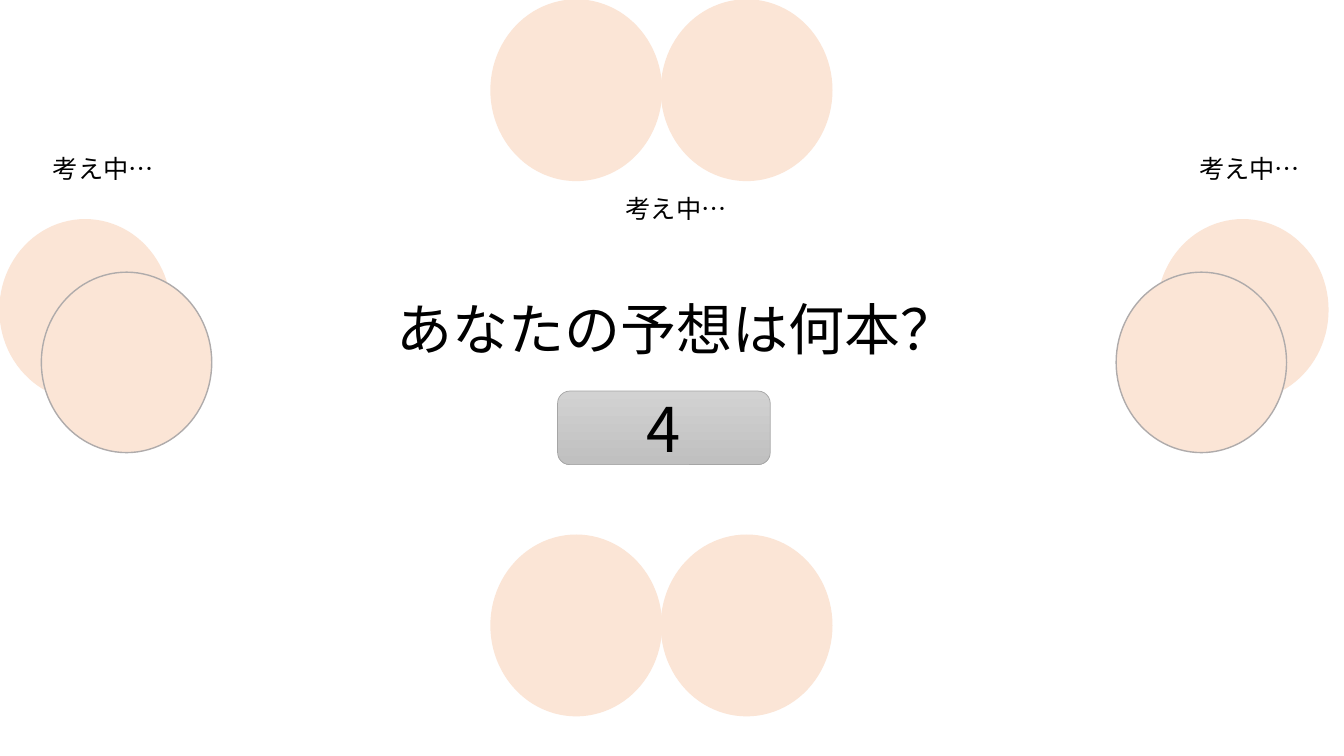
from lxml import etree
from pptx import Presentation
from pptx import util as u
from pptx.dml.color import RGBColor
from pptx.enum import shapes, text
from pptx.oxml.ns import qn

PEACH = RGBColor(0xFB, 0xE5, 0xD6)
OUTLINE = RGBColor(0xAF, 0xAB, 0xAB)
BUTTON_TOP = RGBColor(0xD2, 0xD2, 0xD2)
BUTTON_BOTTOM = RGBColor(0xC0, 0xC0, 0xC0)
BUTTON_LINE = RGBColor(0xA5, 0xA5, 0xA5)
BLACK = RGBColor(0, 0, 0)

HAND_WIDTH, HAND_HEIGHT = 1.69, 1.79
PAIR_LEFT = 4.87


class Board:
    """Holds the style and the current slide."""

    font_name = "Noto Sans CJK JP"

    def __init__(self, page):
        """Draw on the given page."""
        self.page = page

    def fill_text(self, box, words, size):
        """Put one centred paragraph into a box."""
        paragraph = box.text_frame.paragraphs[0]
        paragraph.text = words
        paragraph.alignment = text.PP_ALIGN.CENTER
        font = paragraph.font
        font.size, font.name = u.Pt(size), self.font_name
        font.color.rgb = BLACK
        defaults = paragraph._p.pPr.find(qn("a:defRPr"))
        etree.SubElement(defaults, qn("a:ea"), typeface=self.font_name)

    def shape(self, kind, left, top, width, height, line, weight):
        """Add a preset shape without shadow and return it."""
        shape = self.page.shapes.add_shape(
            kind, *map(u.Inches, (left, top, width, height)))
        shape.shadow.inherit = False
        shape.line.color.rgb = line
        shape.line.width = u.Pt(weight)
        return shape

    def hand(self, left, top, line=PEACH):
        """Add one round hand."""
        hand = self.shape(shapes.MSO_SHAPE.OVAL, left, top,
                          HAND_WIDTH, HAND_HEIGHT, line, 1)
        hand.fill.solid()
        hand.fill.fore_color.rgb = PEACH

    def label(self, words, size, left, top, width, height):
        """Add a centred text box."""
        box = self.page.shapes.add_textbox(
            *map(u.Inches, (left, top, width, height)))
        box.text_frame.word_wrap = True
        box.text_frame.auto_size = text.MSO_AUTO_SIZE.SHAPE_TO_FIT_TEXT
        self.fill_text(box, words, size)

    def button(self, words, size, left, top, width, height):
        """Add a rounded button shaded from top to bottom."""
        button = self.shape(shapes.MSO_SHAPE.ROUNDED_RECTANGLE,
                            left, top, width, height, BUTTON_LINE, 0.5)
        button.fill.gradient()
        button.fill.gradient_angle = 270
        for stop, color in zip(button.fill.gradient_stops,
                               (BUTTON_TOP, BUTTON_BOTTOM)):
            stop.color.rgb = color
        button.text_frame.vertical_anchor = text.MSO_ANCHOR.MIDDLE
        self.fill_text(button, words, size)


deck = Presentation()
deck.slide_width, deck.slide_height = u.Inches(13.33), u.Inches(7.5)
board = Board(deck.slides.add_slide(deck.slide_layouts[6]))

for pair_top in (5.31, 0):
    for column in range(2):
        board.hand(PAIR_LEFT + column * HAND_WIDTH, pair_top)

for back_left, front_left in ((0, 0.41), (11.48, 11.07)):
    board.hand(back_left, 2.18)
    board.hand(front_left, 2.7, OUTLINE)

for thought_left, thought_top in ((0.25, 1.47), (11.62, 1.47), (5.93, 1.87)):
    board.label("考え中…", 18, thought_left, thought_top, 1.55, 0.4)

board.label("あなたの予想は何本？", 40, 3.53, 2.87, 6.36, 0.77)
board.button("4", 44, 5.53, 3.88, 2.11, 0.73)

deck.save("out.pptx")
